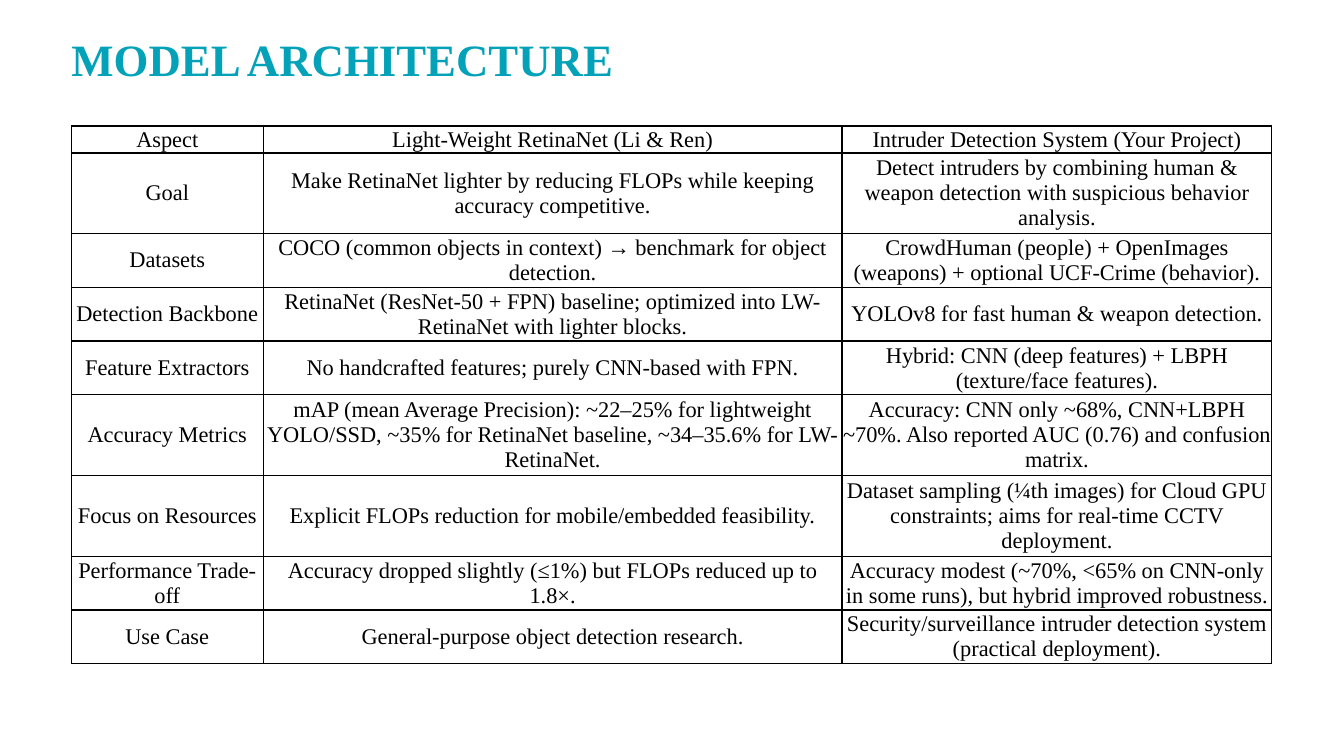
from lxml.etree import SubElement as Sub
from pptx import Presentation as Deck
from pptx.dml.color import RGBColor as Rgb
from pptx.enum.text import MSO_ANCHOR as Anchor, MSO_AUTO_SIZE as Fit, PP_ALIGN as Align
from pptx.oxml.ns import qn
from pptx.util import Pt

HUES = {"title": "04A2B9", "text": "000000", "line": "000000"}
WIDTHS = [137, 413.5, 307]
LINE = 19.2  # height of one line of table text

# Text lines in the tallest cell, then the three cells of the row
ROWS = [
    (1, "Aspect", "Light-Weight RetinaNet (Li & Ren)",
     "Intruder Detection System (Your Project)"),
    (3, "Goal",
     "Make RetinaNet lighter by reducing FLOPs while keeping accuracy competitive.",
     "Detect intruders by combining human & weapon detection with suspicious "
     "behavior analysis."),
    (2, "Datasets",
     "COCO (common objects in context) → benchmark for object detection.",
     "CrowdHuman (people) + OpenImages (weapons) + optional UCF-Crime (behavior)."),
    (2, "Detection Backbone",
     "RetinaNet (ResNet-50 + FPN) baseline; optimized into LW-RetinaNet with "
     "lighter blocks.",
     "YOLOv8 for fast human & weapon detection."),
    (2, "Feature Extractors",
     "No handcrafted features; purely CNN-based with FPN.",
     "Hybrid: CNN (deep features) + LBPH (texture/face features)."),
    (3, "Accuracy Metrics",
     "mAP (mean Average Precision): ~22–25% for lightweight YOLO/SSD, ~35% for "
     "RetinaNet baseline, ~34–35.6% for LW-RetinaNet.",
     "Accuracy: CNN only ~68%, CNN+LBPH ~70%. Also reported AUC (0.76) and "
     "confusion matrix."),
    (3, "Focus on Resources",
     "Explicit FLOPs reduction for mobile/embedded feasibility.",
     "Dataset sampling (¼th images) for Cloud GPU constraints; aims for "
     "real-time CCTV deployment."),
    (2, "Performance Trade-off",
     "Accuracy dropped slightly (≤1%) but FLOPs reduced up to 1.8×.",
     "Accuracy modest (~70%, <65% on CNN-only in some runs), but hybrid "
     "improved robustness."),
    (2, "Use Case", "General-purpose object detection research.",
     "Security/surveillance intruder detection system (practical deployment)."),
]


class Page:
    """Holds the style and the current slide."""
    font = "Times New Roman"

    def __init__(self, slide):
        self.slide = slide

    def text(self, para, words, size, hue, align, bold=False):
        para.alignment = align
        run = para.add_run()
        run.text = words
        font = run.font
        font.name, font.size, font.bold = self.font, Pt(size), bold
        font.color.rgb = Rgb.from_string(HUES[hue])

    def title(self, words, left, top, width, height):
        box = self.slide.shapes.title
        box.left, box.top, box.width, box.height = map(Pt, (left, top, width, height))
        frame = box.text_frame
        frame.margin_left = frame.margin_right = frame.margin_bottom = 0
        frame.margin_top = Pt(1)
        frame.vertical_anchor = Anchor.MIDDLE
        frame.auto_size = Fit.SHAPE_TO_FIT_TEXT
        para = frame.paragraphs[0]
        para.line_spacing = 0.9
        self.text(para, words, 32, "title", Align.LEFT, True)

    def border(self, cell):
        """Draws a 1 pt line on all four sides of the cell."""
        props = cell._tc.get_or_add_tcPr()
        for spot, side in enumerate(("lnL", "lnR", "lnT", "lnB")):
            line = Sub(props, qn("a:" + side), w=str(Pt(1)))
            fill = Sub(line, qn("a:solidFill"))
            Sub(fill, qn("a:srgbClr"), val=HUES["line"])
            props.insert(spot, line)

    def cell(self, cell, words):
        cell.margin_left = cell.margin_right = 0
        cell.margin_top = cell.margin_bottom = 0
        cell.vertical_anchor = Anchor.MIDDLE
        cell.fill.background()
        self.border(cell)
        self.text(cell.text_frame.paragraphs[0], words, 16, "text", Align.CENTER)

    def table(self, rows, widths, left, top):
        high = LINE * sum(row[0] for row in rows)
        grid = self.slide.shapes.add_table(
            len(rows), len(widths), Pt(left), Pt(top), Pt(sum(widths)), Pt(high)).table
        grid.first_row = grid.horz_banding = False
        for col, width in zip(grid.columns, widths):
            col.width = Pt(width)
        for row, (lines, *texts) in zip(grid.rows, rows):
            row.height = Pt(LINE * lines)
            for cell, words in zip(row.cells, texts):
                self.cell(cell, words)


def main():
    deck = Deck()
    deck.slide_width, deck.slide_height = Pt(960), Pt(540)
    page = Page(deck.slides.add_slide(deck.slide_layouts.get_by_name("Title Only")))
    page.title("MODEL ARCHITECTURE", 51, 26, 541.5, 36)
    page.table(ROWS, WIDTHS, 51, 90)
    deck.save("out.pptx")


if __name__ == "__main__":
    main()
